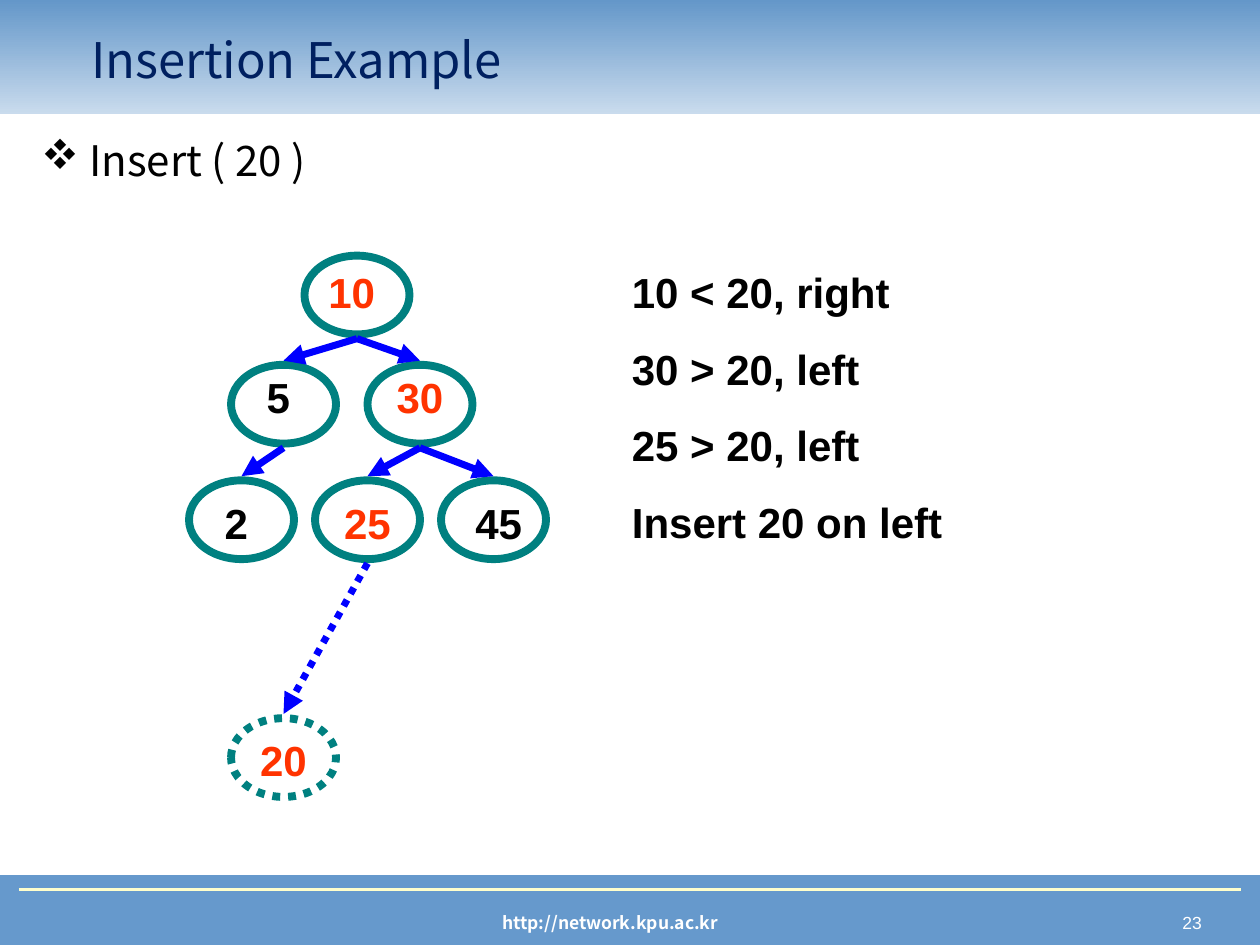
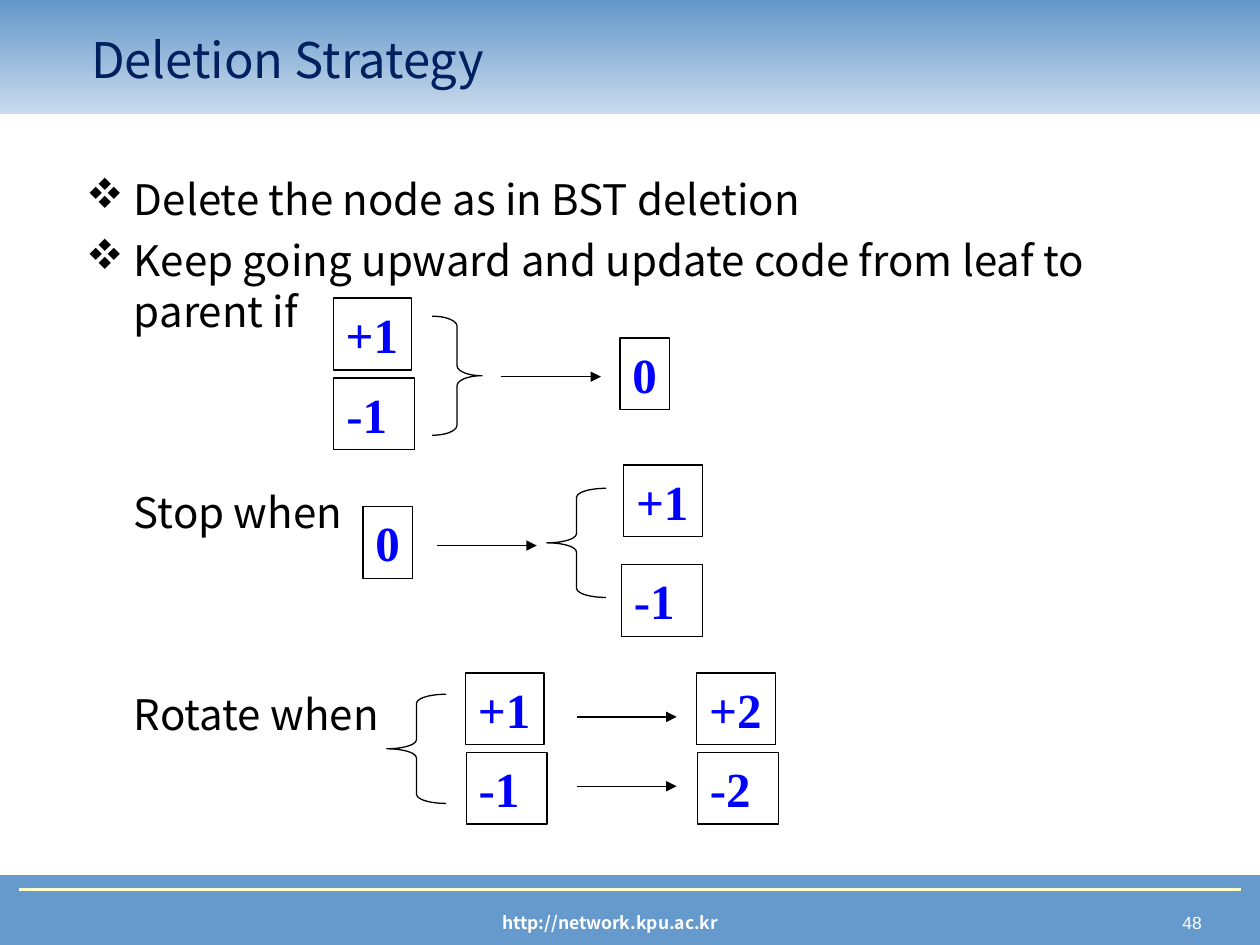
from lxml import etree
from pptx import Presentation
from pptx.dml.color import RGBColor
from pptx.enum.dml import MSO_LINE
from pptx.enum.shapes import MSO_CONNECTOR, MSO_SHAPE
from pptx.enum.text import MSO_ANCHOR, PP_ALIGN
from pptx.oxml.ns import qn
from pptx.util import Inches, Pt

BLACK = RGBColor(0x00, 0x00, 0x00)
WHITE = RGBColor(0xFF, 0xFF, 0xFF)
NAVY = RGBColor(0x00, 0x20, 0x60)
SKY = RGBColor(0x66, 0x99, 0xCC)
STEEL = RGBColor(0x64, 0x97, 0xC9)
PALE = RGBColor(0xC9, 0xDB, 0xED)
CREAM = RGBColor(0xFF, 0xFF, 0xCC)
TEAL = RGBColor(0x00, 0x80, 0x80)
BLUE = RGBColor(0x00, 0x00, 0xFF)
RED = RGBColor(0xFF, 0x33, 0x00)

NOTO, ARIAL, TIMES = "Noto Sans CJK KR", "Arial", "Times New Roman"
LEFT, MID, RIGHT = PP_ALIGN.LEFT, PP_ALIGN.CENTER, PP_ALIGN.RIGHT
TOP, CENTER = MSO_ANCHOR.TOP, MSO_ANCHOR.MIDDLE
DOT = MSO_LINE.ROUND_DOT
RECT, OVAL = MSO_SHAPE.RECTANGLE, MSO_SHAPE.OVAL
OPEN, CLOSE = MSO_SHAPE.LEFT_BRACE, MSO_SHAPE.RIGHT_BRACE

COLS = 120
deck = Presentation()
deck.slide_width, deck.slide_height = Inches(10), Inches(7.5)
UNIT = deck.slide_width / COLS


def write(page, text, x, y, w, h, size=24, font=NOTO, color=BLACK, bold=False,
          align=LEFT, anchor=TOP, gap=0):
    box = page.shapes.add_textbox(*[round(n * UNIT) for n in (x, y, w, h)])
    frame = box.text_frame
    frame.word_wrap, frame.vertical_anchor = True, anchor
    for i, line in enumerate(text.split("\n")):
        para = frame.add_paragraph() if i else frame.paragraphs[0]
        para.text, para.alignment = line, align
        if i and gap:
            para.space_before = Pt(gap)
        for run in para.runs:
            run.font.name, run.font.size = font, Pt(size)
            run.font.bold, run.font.color.rgb = bold, color
    return box


def link(page, x1, y1, x2, y2, color=BLACK, width=0.75, dash=None, head=True):
    ends = [round(n * UNIT) for n in (x1, y1, x2, y2)]
    wire = page.shapes.add_connector(MSO_CONNECTOR.STRAIGHT, *ends)
    wire.line.color.rgb, wire.line.width = color, Pt(width)
    if dash:
        wire.line.dash_style = dash
    props = wire._element.spPr
    if head:
        etree.SubElement(props.find(qn("a:ln")), qn("a:tailEnd"), type="triangle")
    etree.SubElement(props, qn("a:effectLst"))


pages = []
for title, number, body, x, y, w, h in [
    ("Insertion Example", "23", "Insert ( 20 )", 2.76, 12.24, 113.4, 69.36),
    ("Deletion Strategy", "48",
     "Delete the node as in BST deletion\n"
     "Keep going upward and update code from leaf to\vparent if\n"
     "Stop when\nRotate when", 7.02, 15.96, 110.52, 60),
]:
    page = deck.slides.add_slide(deck.slide_layouts[6])
    pages.append(page)
    for top, high in [(83.4, 6.6), (0, 10.85)]:
        band = page.shapes.add_shape(RECT, 0, round(top * UNIT), deck.slide_width, round(high * UNIT))
        band.shadow.inherit = False
        if top:
            band.fill.solid()
            band.fill.fore_color.rgb = band.line.color.rgb = SKY
            band.line.width = Pt(0.75)
        else:
            band.line.fill.background()
            band.fill.gradient()
            band.fill.gradient_angle = 90
            for stop, tint in zip(band.fill.gradient_stops, (PALE, STEEL)):
                stop.color.rgb = tint
    write(page, number, 89.04, 86.24, 26.6, 3.24, size=10, font=ARIAL, color=WHITE, align=RIGHT)
    write(page, "http://network.kpu.ac.kr", 27.15, 86.24, 61.92, 3.24,
          size=10, color=WHITE, bold=True, align=MID)
    link(page, 1.8, 84.72, COLS - 1.8, 84.72, CREAM, 1.5, head=False)
    write(page, title, 7.5, 1.92, 101.28, 7.44, size=28, color=NAVY, anchor=CENTER)
    points = write(page, body, x, y, w, h, gap=6).text_frame.paragraphs
    for i, para in enumerate(points):
        props = para._p.get_or_add_pPr()
        props.set("marL", str(Inches(0.38)))
        if i < 2:
            props.set("indent", str(Inches(-0.38)))
            etree.SubElement(props, qn("a:buFont"), typeface="Wingdings", charset="2")
            etree.SubElement(props, qn("a:buChar"), char="v")
        else:
            para.space_before = Pt(3 * 28.8)

tree, plan = pages

WIDE, TALL, EDGE = 10, 7.5, 0.4
nodes = {
    "10": (29, 24.35, 30, 24.78, 7, RED),
    "5": (22, 34.75, 24, 34.8, 5, BLACK),
    "30": (35, 34.75, 36, 34.8, 8, RED),
    "2": (18, 45.75, 20, 46.8, 5, BLACK),
    "25": (30, 45.75, 31, 46.8, 8, RED),
    "45": (42, 45.75, 44, 46.8, 7, BLACK),
    "20": (22, 68.4, 23, 69.36, 8, RED),
}
for key, (x, y, left, top, w, color) in nodes.items():
    ring = tree.shapes.add_shape(OVAL, *[round(n * UNIT) for n in (x, y, WIDE, TALL)])
    ring.shadow.inherit = False
    ring.fill.background()
    ring.line.color.rgb, ring.line.width = TEAL, Pt(4.5)
    if key == "20":
        ring.line.dash_style = DOT
    write(tree, key, left, top, w, 6, font=ARIAL, color=color, bold=True, align=MID)

for up, down in [("5", "2"), ("30", "25"), ("10", "30"), ("10", "5"), ("30", "45"), ("25", "20")]:
    x1, y1 = nodes[up][:2]
    x2, y2 = nodes[down][:2]
    link(tree, x1 + WIDE / 2, y1 + TALL + EDGE, x2 + WIDE / 2, y2 - EDGE,
         BLUE, 4, DOT if down == "20" else None)

write(tree, "10 < 20, right\n30 > 20, left\n25 > 20, left\nInsert 20 on left",
      59, 24.78, 45, 28, font=ARIAL, bold=True, gap=15)

widths = {"0": 4.75, "+": 7.48, "-": 7.7}
for text, x, y in [
    ("+1", 31.74, 28.4), ("-1", 31.8, 36), ("0", 59.04, 32.2),
    ("0", 34.56, 48.24), ("+1", 59.4, 44.28), ("-1", 59.2, 53.76),
    ("+1", 44.34, 64.1), ("-1", 44.4, 71.64),
    ("+2", 66.36, 64.1), ("-2", 66.42, 71.64),
]:
    tile = write(plan, text, x, y, widths[text[0]], 6.84, size=28, font=TIMES,
                 color=BLUE, bold=True)
    tile.line.color.rgb, tile.line.width = BLACK, Pt(0.75)

for x, y in [(47.76, 35.88), (41.64, 51.96), (54.96, 68.28), (54.96, 74.88)]:
    link(plan, x, y, x + 9.48, y)

for kind, x, y, w, h in [
    (CLOSE, 41.16, 30.12, 4.74, 11.34),
    (OPEN, 52.08, 46.5, 5.66, 10.4),
    (OPEN, 36.84, 66.12, 5.66, 10.4),
]:
    brace = plan.shapes.add_shape(kind, *[round(n * UNIT) for n in (x, y, w, h)])
    brace.shadow.inherit = False
    brace.fill.background()
    brace.line.color.rgb, brace.line.width = BLACK, Pt(0.75)
    brace.adjustments[0] = h / w / 12

deck.save("out.pptx")
